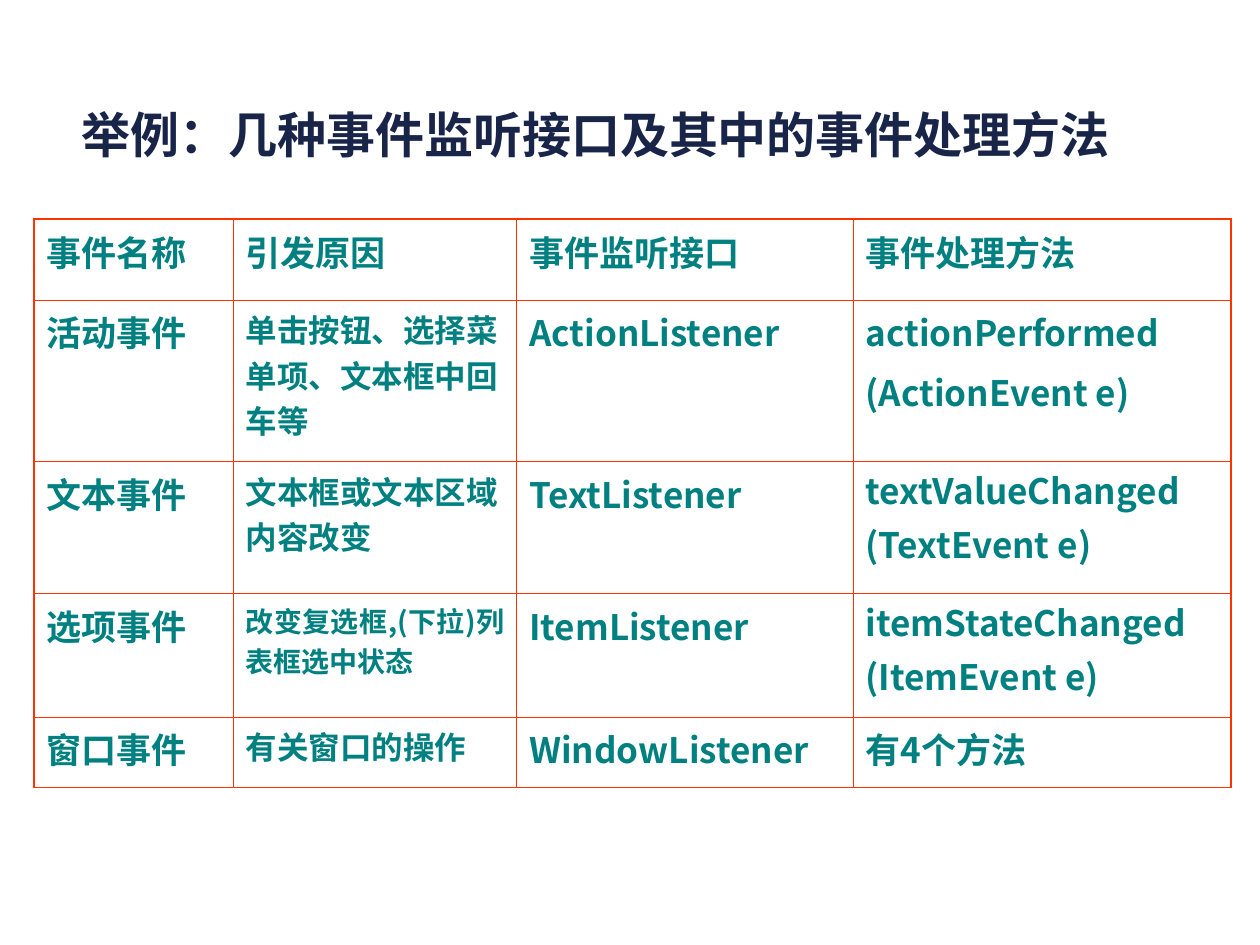
from lxml.etree import SubElement
from pptx import Presentation
from pptx.dml.color import RGBColor
from pptx.enum.text import MSO_ANCHOR, MSO_AUTO_SIZE, PP_ALIGN
from pptx.oxml.ns import qn
from pptx.util import Inches, Pt

COLORS = {"title": "192449", "text": "008080", "border": "FF3300"}
FONT = "Noto Sans CJK SC"
OUTER, INNER = 1.08, 0.45

COLUMNS = [1.58, 2.25, 2.67, 3]
ROW_HEIGHTS = [0.64, 1.28, 1.05, 0.98, 0.56]
ROWS = [
    ["事件名称", "引发原因", "事件监听接口", "事件处理方法"],
    ["活动事件", "单击按钮、选择菜单项、文本框中回车等", "ActionListener",
     "actionPerformed\n(ActionEvent e)"],
    ["文本事件", "文本框或文本区域内容改变", "TextListener",
     "textValueChanged\n(TextEvent e)"],
    ["选项事件", "改变复选框,(下拉)列表框选中状态", "ItemListener",
     "itemStateChanged\n(ItemEvent e)"],
    ["窗口事件", "有关窗口的操作", "WindowListener", "有4个方法"],
]
# Exceptions by (row, column)
SIZES = {(1, 1): 18, (2, 1): 18, (3, 1): 16, (4, 1): 18}
TIGHT = {(2, 3), (3, 3)}
JUSTIFIED = {(3, 1), (3, 3), (4, 1)}


def style_font(para, size, color):
    font = para.font
    font.name, font.size, font.bold = FONT, Pt(size), True
    font.color.rgb = RGBColor.from_string(COLORS[color])
    latin = font._element.find(qn("a:latin"))
    east_asian = latin.makeelement(qn("a:ea"), {"typeface": FONT})
    latin.addnext(east_asian)


def add_title(page, left, top, width, height):
    title = page.shapes.title
    title.left, title.top = Inches(left), Inches(top)
    title.width, title.height = Inches(width), Inches(height)
    frame = title.text_frame
    frame.text = "举例：几种事件监听接口及其中的事件处理方法"
    frame.auto_size = MSO_AUTO_SIZE.NONE
    frame.vertical_anchor = MSO_ANCHOR.BOTTOM
    para = frame.paragraphs[0]
    para.alignment = PP_ALIGN.LEFT
    para.line_spacing = 1.4
    style_font(para, 28, "title")


def set_borders(cell, row, column):
    outer_sides = {
        "L": column == 0,
        "R": column == len(COLUMNS) - 1,
        "T": row == 0,
        "B": row == len(ROWS) - 1,
    }
    properties = cell._tc.get_or_add_tcPr()
    for side, is_outer in outer_sides.items():
        width = Pt(OUTER if is_outer else INNER)
        line = SubElement(properties, qn(f"a:ln{side}"), w=str(int(width)))
        fill = SubElement(line, qn("a:solidFill"))
        SubElement(fill, qn("a:srgbClr"), val=COLORS["border"])


def fill_cell(cell, row, column):
    place = (row, column)
    size = SIZES.get(place, 20)
    cell.text = ROWS[row][column]
    for index, para in enumerate(cell.text_frame.paragraphs):
        para.space_before = Pt(size / 4 if index else 0)
        if place in TIGHT:
            para.line_spacing = 0.9
        if place in JUSTIFIED:
            para.alignment = PP_ALIGN.JUSTIFY
        style_font(para, size, "text")
    set_borders(cell, row, column)
    cell.fill.background()


def add_event_table(page, left, top, width, height):
    table = page.shapes.add_table(
        len(ROWS), len(COLUMNS),
        Inches(left), Inches(top), Inches(width), Inches(height)).table
    table.first_row = table.horz_banding = False
    for column, column_width in zip(table.columns, COLUMNS):
        column.width = Inches(column_width)
    for row, row_height in zip(table.rows, ROW_HEIGHTS):
        row.height = Inches(row_height)
    for row in range(len(ROWS)):
        for column in range(len(COLUMNS)):
            fill_cell(table.cell(row, column), row, column)


def main():
    deck = Presentation()
    deck.slide_width, deck.slide_height = Inches(10), Inches(7.5)
    page = deck.slides.add_slide(deck.slide_layouts[5])
    # Heading
    add_title(page, 0.55, 0.68, 9.06, 0.67)
    # Events, causes, listeners and handlers
    add_event_table(page, 0.27, 1.74, sum(COLUMNS), sum(ROW_HEIGHTS))
    deck.save("out.pptx")


if __name__ == "__main__":
    main()
